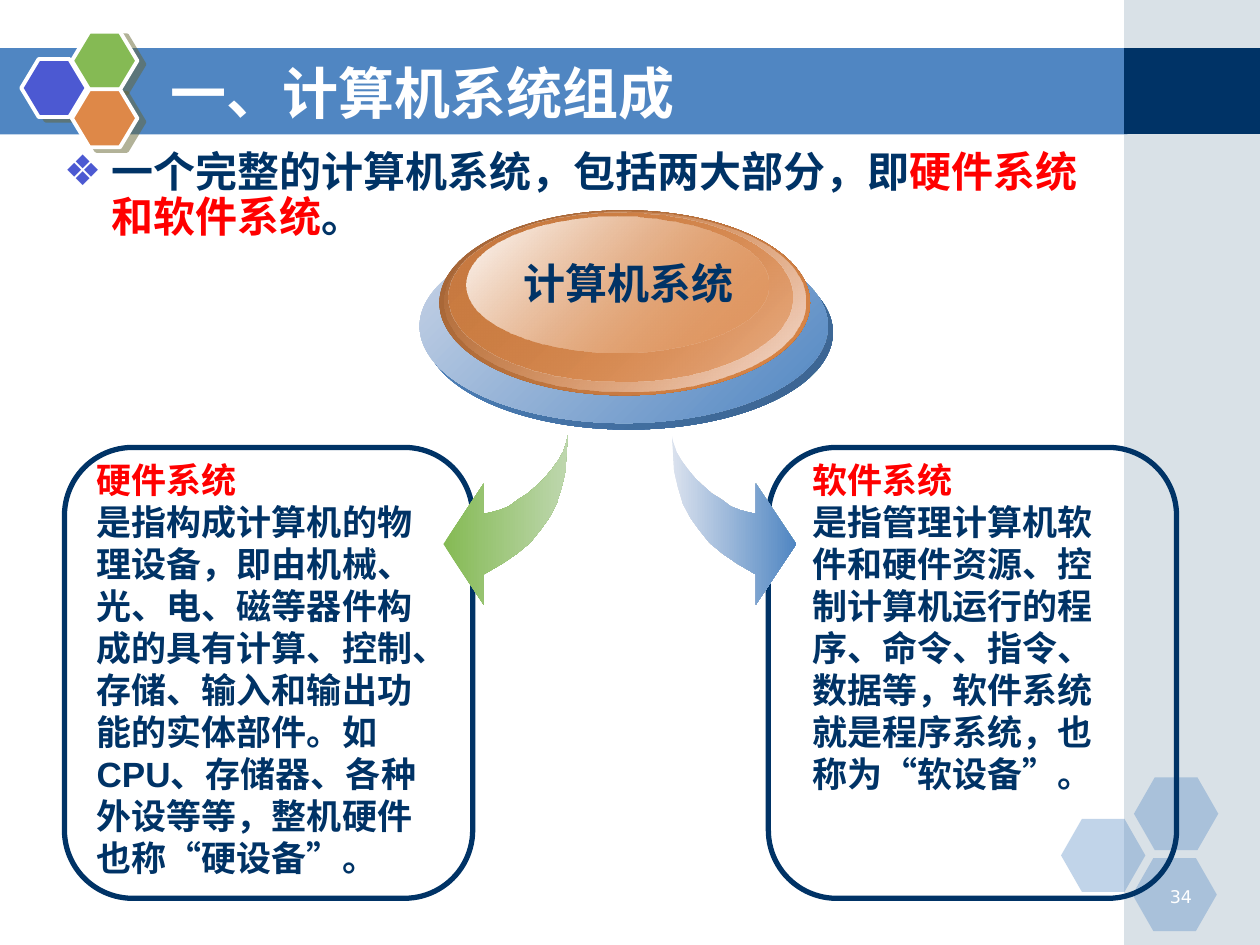
from lxml.etree import SubElement
from pptx import Presentation
from pptx.dml.color import RGBColor
from pptx.enum.shapes import MSO_SHAPE as Preset
from pptx.enum.text import MSO_ANCHOR as Anchor, PP_ALIGN as Align
from pptx.oxml.ns import qn
from pptx.util import Cm, Pt

COLORS = {
    "navy": "003366", "blue": "5086C2", "deep_blue": "3A628E", "pale_blue": "CAD5E7",
    "mist": "DBE2EE", "gray": "A0B5C4", "violet": "4C59D2", "green": "85BA54",
    "pale_green": "BED7AE", "orange": "DE8848", "brown": "9F6134", "copper": "C97B41",
    "cream": "F4DFD6", "white": "FFFFFF", "red": "FF0000", "shadow": "666633",
}
CJK = "Noto Sans CJK SC"
ARROW_WIDTH = 2.51
ARROW_POINTS = [
    (0, 0), (0.03, 0.38), (0.05, 0.74), (0.13, 1.07), (0.23, 1.4), (0.38, 1.68),
    (0.56, 1.93), (0.76, 2.18), (1.04, 2.41), (1.35, 2.62), (1.7, 2.82), (1.7, 3.43),
    (2.51, 2.21), (1.7, 0.99), (1.7, 1.6), (1.55, 1.57), (1.37, 1.52), (1.19, 1.45),
    (1.02, 1.32), (0.81, 1.19), (0.64, 1.04), (0.48, 0.89), (0.33, 0.71), (0.2, 0.53),
    (0.1, 0.36), (0.03, 0.15),
]


def rgb(name):
    return RGBColor.from_string(COLORS[name])


def paint(shape, fill=None, alphas=(100,), angle=0, line=None, line_width=1):
    shape.shadow.inherit = False
    if fill is None:
        shape.fill.background()
    elif isinstance(fill, tuple):
        shape.fill.gradient()
        shape.fill.gradient_angle = (360 - angle) % 360
        for stop, name in zip(shape.fill.gradient_stops, fill):
            stop.color.rgb = rgb(name)
        first, last = shape.fill.gradient_stops
        first.position, last.position = 0, 1
    else:
        shape.fill.solid()
        shape.fill.fore_color.rgb = rgb(fill)
    for color, alpha in zip(shape.element.spPr.iter(qn("a:srgbClr")), alphas):
        if alpha < 100:
            SubElement(color, qn("a:alpha"), val=str(alpha * 1000))
    if line:
        shape.line.color.rgb = rgb(line)
        shape.line.width = Pt(line_width)
    else:
        shape.line.fill.background()
    return shape


def add_preset(slide, preset, box, adjust=None, **format):
    shape = slide.shapes.add_shape(preset, *map(Cm, box))
    if adjust is not None:
        shape.adjustments[0] = adjust
    return paint(shape, **format)


def add_text(slide, box, paragraphs, size, latin="Arial", bold=True, align=Align.LEFT,
             anchor=Anchor.TOP, spacing=None, wrap=True):
    frame = slide.shapes.add_textbox(*map(Cm, box)).text_frame
    frame.word_wrap = wrap
    frame.vertical_anchor = anchor
    for index, pieces in enumerate(paragraphs):
        paragraph = frame.add_paragraph() if index else frame.paragraphs[0]
        paragraph.alignment = align
        paragraph.line_spacing = spacing
        for wording, color in pieces:
            run = paragraph.add_run()
            run.text = wording
            run.font.size = Pt(size)
            run.font.bold = bold
            run.font.name = latin
            run.font.color.rgb = rgb(color)
            SubElement(run.font._element, qn("a:ea"), typeface=CJK)
    return frame


def add_bullet(paragraph, symbol, color, indent):
    properties = paragraph._p.get_or_add_pPr()
    properties.set("marL", str(Cm(indent)))
    properties.set("indent", str(-Cm(indent)))
    bullet_color = SubElement(properties, qn("a:buClr"))
    SubElement(bullet_color, qn("a:srgbClr"), val=COLORS[color])
    SubElement(properties, qn("a:buFont"), typeface="DejaVu Sans")
    SubElement(properties, qn("a:buChar"), char=symbol)


def add_hard_shadow(shape):
    effects = shape.element.spPr.find(qn("a:effectLst"))
    shadow = SubElement(effects, qn("a:outerShdw"), blurRad="0", dist=str(Pt(4.5)),
                        dir=str(27 * 60000), algn="ctr", rotWithShape="0")
    color = SubElement(shadow, qn("a:srgbClr"), val=COLORS["shadow"])
    SubElement(color, qn("a:alpha"), val="50000")


def add_backdrop(slide, width, height):
    side = 22.66
    add_preset(slide, Preset.RECTANGLE, (0, 0.97, 22.73, 1.74), fill="blue")
    add_preset(slide, Preset.RECTANGLE, (side, 0, width - side, height), fill="gray", alphas=(40,))
    add_preset(slide, Preset.RECTANGLE, (side, 0.97, width - side, 1.73), fill="navy")
    for left, top in ((21.39, 16.51), (22.86, 15.67), (22.83, 17.3)):
        add_preset(slide, Preset.HEXAGON, (left, top, 1.7, 1.47), 0.286, fill="blue", alphas=(35,))
    add_text(slide, (23.01, 17.73, 1.27, 0.64), [[("34", "white")]], 10,
             latin="DejaVu Sans", bold=False, align=Align.RIGHT)


def add_emblem(slide, left, top):
    for dx, dy, color in ((0, 0.55, "violet"), (1.02, 0, "green"), (1.02, 1.16, "orange")):
        cell = add_preset(slide, Preset.HEXAGON, (left + dx, top + dy, 1.32, 1.17), 0.3,
                          fill=color, line="white", line_width=2.25)
        add_hard_shadow(cell)


def add_heading(slide, title_box, intro_box):
    add_text(slide, title_box, [[("一、计算机系统组成", "white")]], 32, latin=CJK, anchor=Anchor.MIDDLE)
    intro = add_text(slide, intro_box, [[
        ("一个完整的计算机系统，包括两大部分，即", "navy"),
        ("硬件系统和软件系统", "red"),
        ("。", "navy"),
    ]], 24, latin=CJK, spacing=0.9).paragraphs[0]
    intro.space_before = Pt(4.8)
    add_bullet(intro, "❖", "violet", 0.95)


def add_panel(slide, box, text_inset, text_width, heading, description):
    left, top, _, height = box
    add_preset(slide, Preset.ROUNDED_RECTANGLE, box, 0.167, line="navy", line_width=3)
    add_text(slide, (left + text_inset, top + 0.1, text_width, height - 0.4),
             [[(heading, "red")], [(description, "navy")]], 20)


def add_curved_arrow(slide, left, top, colors, to_left=False):
    points = [(Cm(left + (ARROW_WIDTH - x if to_left else x)), Cm(top + y)) for x, y in ARROW_POINTS]
    builder = slide.shapes.build_freeform(*points[0])
    builder.add_line_segments(points[1:], close=True)
    paint(builder.convert_to_shape(), fill=colors)


def add_system_disc(slide, left, top):
    layers = [
        (0.1, 0.51, 8.23, 3.91, ("blue", "deep_blue"), (100, 100)),
        (0, 0.38, 8.23, 3.91, ("pale_blue", "blue"), (100, 100)),
        (0.4, 0, 7.47, 3.73, ("brown", "orange"), (100, 100)),
        (0.51, 0.03, 7.26, 3.63, ("orange", "cream"), (0, 100)),
        (0.58, 0.05, 6.93, 3.4, ("copper", "orange"), (100, 48)),
        (0.94, 0.13, 6.1, 2.74, ("white", "orange"), (100, 38)),
    ]
    for dx, dy, width, height, colors, alphas in layers:
        add_preset(slide, Preset.OVAL, (left + dx, top + dy, width, height),
                   fill=colors, alphas=alphas, angle=45)
    add_text(slide, (left + 1.83, top + 0.94, 4.78, 1.17), [[("计算机系统", "navy")]], 24,
             align=Align.CENTER, spacing=0.9, wrap=False)


def main():
    width, height = 25.4, 19.05
    deck = Presentation()
    deck.slide_width, deck.slide_height = Cm(width), Cm(height)
    slide = deck.slides.add_slide(deck.slide_layouts[6])
    add_backdrop(slide, width, height)
    add_emblem(slide, 0.43, 0.64)
    add_heading(slide, (3.18, 1.07, 18.62, 1.57), (1.04, 2.92, 21.67, 14.58))
    add_panel(slide, (1.3, 9.02, 8.23, 9.09), 0.4, 7.39, "硬件系统",
              "是指构成计算机的物理设备，即由机械、光、电、磁等器件构成的具有计算、控制、存储、"
              "输入和输出功能的实体部件。如CPU、存储器、各种外设等等，整机硬件也称“硬设备”。")
    add_curved_arrow(slide, 8.94, 8.76, ("green", "pale_green"), to_left=True)
    add_system_disc(slide, 8.46, 4.24)
    add_panel(slide, (15.49, 9.02, 8.23, 9.09), 0.64, 6.55, "软件系统",
              "是指管理计算机软件和硬件资源、控制计算机运行的程序、命令、指令、数据等，"
              "软件系统就是程序系统，也称为“软设备”。")
    add_curved_arrow(slide, 13.54, 8.76, ("mist", "blue"))
    deck.save("out.pptx")


if __name__ == "__main__":
    main()
